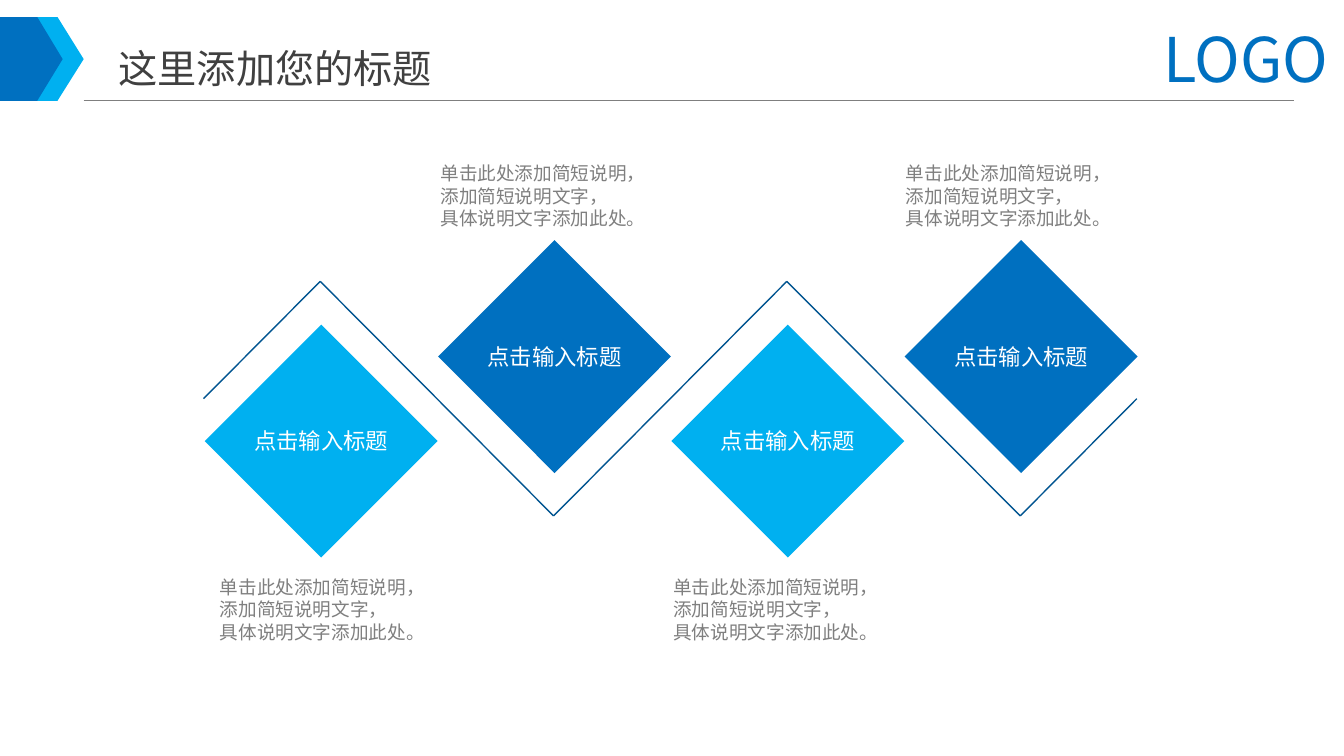
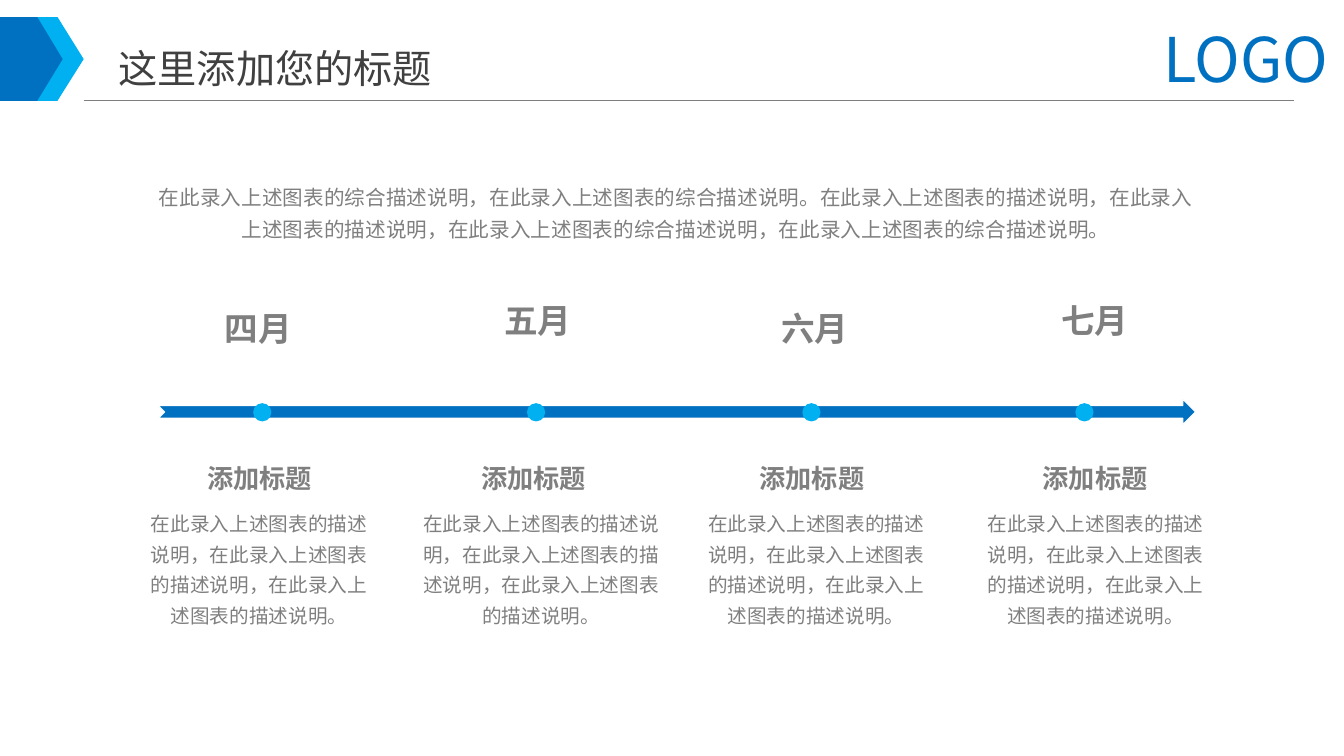
from itertools import pairwise

from lxml import etree
from pptx import Presentation
from pptx import util as u
from pptx.dml.color import RGBColor
from pptx.enum import shapes, text
from pptx.oxml.ns import qn

BLUE, SKY, NAVY = "0070C0", "00B0F0", "005490"
DARK, GREY, WHITE = "404040", "7F7F7F", "FFFFFF"
FONT, LOGO_FONT = "Noto Sans CJK SC", "Noto Sans CJK KR"
SHAPE = shapes.MSO_SHAPE
LEFT, CENTER = text.PP_ALIGN.LEFT, text.PP_ALIGN.CENTER
TOP, MIDDLE = text.MSO_ANCHOR.TOP, text.MSO_ANCHOR.MIDDLE


def rgb(hex_colour):
    return RGBColor.from_string(hex_colour)


def cm(*values):
    return [u.Cm(v) for v in values]


def set_attrs(obj, values):
    for name, value in values.items():
        setattr(obj, name, value)


class Deck:
    """Holds the shared style and the current slide; all lengths are in cm."""

    def __init__(self):
        self.prs = Presentation()
        set_attrs(self.prs, {"slide_width": u.Cm(33.87), "slide_height": u.Cm(19.05)})
        self.s = None

    def new_slide(self, title):
        self.s = self.prs.slides.add_slide(self.prs.slide_layouts[5])
        for colour, shoulder, tip in ((SKY, 1.45, 2.11), (BLUE, 0.94, 1.58)):
            self.band(colour, shoulder, tip)
        self.line((2.11, 2.54), (32.6, 2.54), GREY, 0.75)
        self.text_box((29.06, 0.4, 6.3, 2.13), ["LOGO"], size=44, colour=BLUE, font=LOGO_FONT)
        sp = self.s.shapes.title
        set_attrs(sp, dict(zip(("left", "top", "width", "height"), cm(2.74, 0.98, 13.67, 1.45))))
        self.fill_text(sp, [title], size=28, colour=DARK)

    def fill_text(self, sp, lines, size, colour=GREY, bold=False, align=LEFT, spacing=1.0,
                  anchor=TOP, wrap=True, margins=(0.25, 0.13), font=FONT):
        """Fill a shape with paragraphs; line pitch is 1.2 times the size times spacing."""
        tf = sp.text_frame
        x, y = cm(*margins)
        set_attrs(tf, {"auto_size": text.MSO_AUTO_SIZE.NONE, "word_wrap": wrap,
                       "vertical_anchor": anchor, "margin_left": x, "margin_right": x,
                       "margin_top": y, "margin_bottom": y})
        for i, line in enumerate(lines):
            p = tf.add_paragraph() if i else tf.paragraphs[0]
            set_attrs(p, {"alignment": align, "space_before": u.Pt(0),
                          "line_spacing": u.Pt(round(size * 1.2 * spacing, 1))})
            r = p.add_run()
            r.text = line
            set_attrs(r.font, {"size": u.Pt(size), "bold": bold, "name": font})
            r.font.color.rgb = rgb(colour)
            etree.SubElement(r.font._element, qn("a:ea"), typeface=font)

    def text_box(self, box, lines, **fmt):
        self.fill_text(self.s.shapes.add_textbox(*cm(*box)), lines, **fmt)

    def paint(self, sp, fill, outline=None):
        sp.shadow.inherit = False
        sp.fill.solid()
        sp.fill.fore_color.rgb = rgb(fill)
        if outline:
            sp.line.color.rgb = rgb(outline)
            sp.line.width = u.Pt(0.75)
        else:
            sp.line.fill.background()

    def shape(self, kind, box, fill, outline=None):
        sp = self.s.shapes.add_shape(kind, *cm(*box))
        self.paint(sp, fill, outline)
        return sp

    def band(self, colour, shoulder, tip):
        """Draw a pentagon at the left edge that points right."""
        top, middle, bottom = 0.43, 1.49, 2.54
        fb = self.s.shapes.build_freeform(*cm(0, top))
        fb.add_line_segments([cm(shoulder, top), cm(tip, middle),
                              cm(shoulder, bottom), cm(0, bottom)], close=True)
        self.paint(fb.convert_to_shape(), colour)

    def line(self, start, end, colour, width):
        c = self.s.shapes.add_connector(shapes.MSO_CONNECTOR.STRAIGHT, *cm(*start, *end))
        c.line.color.rgb = rgb(colour)
        c.line.width = u.Pt(width)
        etree.SubElement(c._element.spPr, qn("a:effectLst"))


def zigzag_slide(deck):
    deck.new_slide("这里添加您的标题")
    step, first, high, low = 5.88, 8.07, 7.09, 13.0
    middle = (high + low) / 2
    turns = [(first + i * step, low if i % 2 else high) for i in range(4)]
    points = [(first - step / 2, middle), *turns, (first + 3.5 * step, middle)]
    for start, end in pairwise(points):
        deck.line(start, end, NAVY, 1)

    note = ["单击此处添加简短说明，", "添加简短说明文字，", "具体说明文字添加此处。"]
    for i, note_left in enumerate((5.21, 10.77, 16.64, 22.5)):
        colour, top, note_top = (BLUE, 6.05, 3.91) if i % 2 else (SKY, 8.18, 14.33)
        sp = deck.shape(SHAPE.DIAMOND, (5.16 + i * step, top, 5.87, 5.87), colour)
        deck.fill_text(sp, ["点击输入标题"], size=16, colour=WHITE, align=CENTER,
                       anchor=MIDDLE, wrap=False)
        deck.text_box((note_left, note_top, 6.45, 2.06), note, size=13.3, margins=(0.33, 0.18))


def timeline_slide(deck):
    deck.new_slide("这里添加您的标题")
    deck.text_box((3.71, 4.34, 26.62, 1.88), [
        "在此录入上述图表的综合描述说明，在此录入上述图表的综合描述说明。"
        "在此录入上述图表的描述说明，在此录入上述图表的描述说明，"
        "在此录入上述图表的综合描述说明，在此录入上述图表的综合描述说明。"],
        size=14.7, align=CENTER, spacing=1.3)
    arrow = deck.shape(SHAPE.NOTCHED_RIGHT_ARROW, (3.99, 10.06, 26.14, 0.64), BLUE, WHITE)
    arrow.adjustments[0], arrow.adjustments[1] = 0.5, 0.5

    detail = "在此录入上述图表的描述说明，在此录入上述图表的描述说明，在此录入上述图表的描述说明。"
    # month, its left, width and line spacing; dot left; heading left; detail left and width
    stages = [
        ("四月", 5.33, 2.36, 1.2, 6.38, 4.95, 3.33, 6.4),
        ("五月", 12.22, 2.67, 1.0, 13.28, 11.86, 10.39, 6.5),
        ("六月", 19.35, 2.36, 1.2, 20.22, 18.87, 17.37, 6.4),
        ("七月", 26.21, 2.77, 1.0, 27.1, 26.01, 24.41, 6.4),
    ]
    for month, month_x, month_w, spacing, dot_x, head_x, detail_x, detail_w in stages:
        deck.shape(SHAPE.OVAL, (dot_x, 10.16, 0.46, 0.46), SKY)
        deck.text_box((month_x, 7.42, month_w, 1.5), [month], size=24, bold=True,
                      align=CENTER, spacing=spacing)
        deck.text_box((head_x, 11.53, 3.18, 1.07), ["添加标题"], size=18.7, bold=True,
                      align=CENTER, wrap=False)
        deck.text_box((detail_x, 12.6, detail_w, 3.38), [detail], size=14,
                      align=CENTER, spacing=1.3)


def main():
    deck = Deck()
    zigzag_slide(deck)
    timeline_slide(deck)
    deck.prs.save("out.pptx")


if __name__ == "__main__":
    main()
